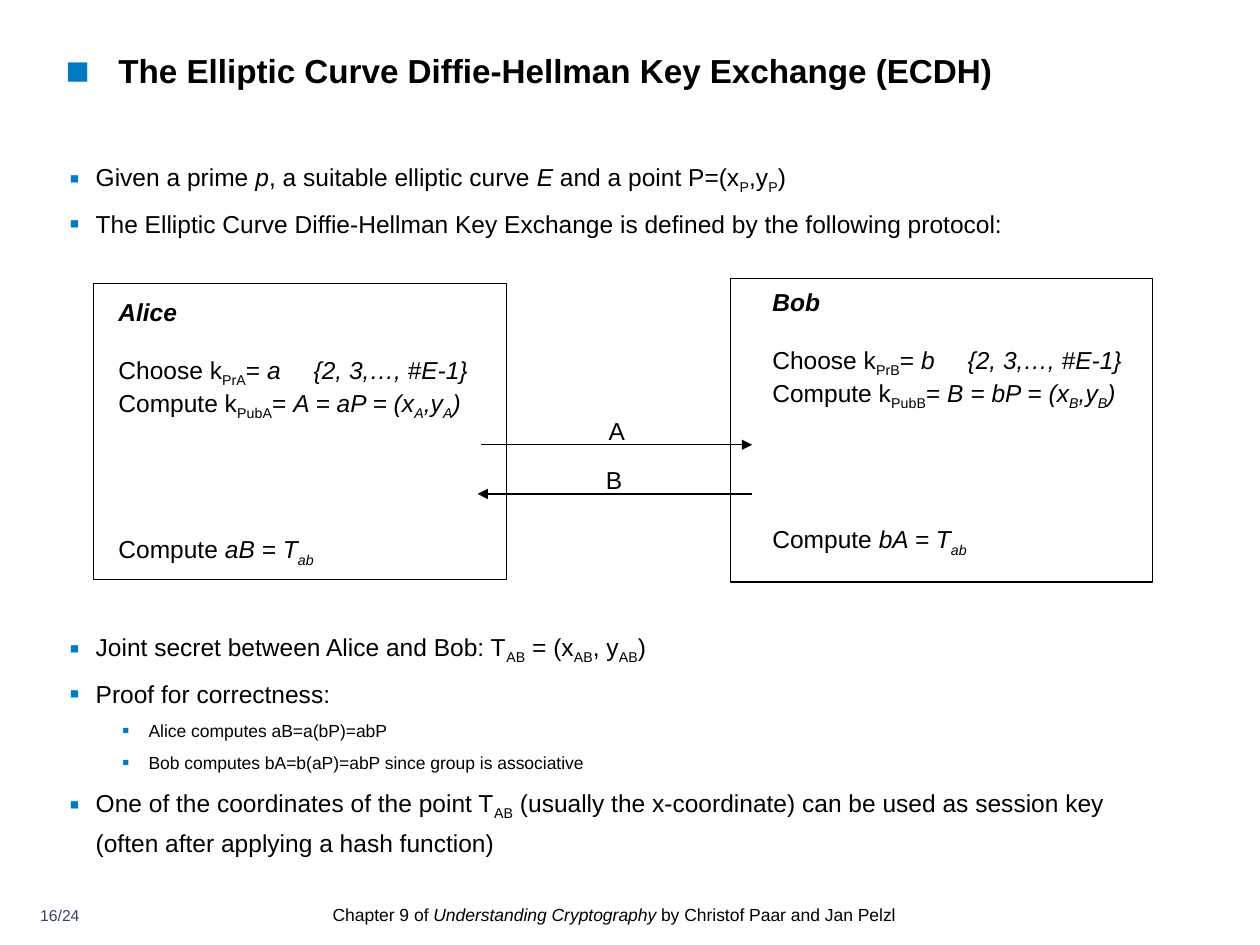
from lxml.etree import SubElement
from pptx import Presentation
from pptx.dml.color import RGBColor
from pptx.enum.shapes import MSO_CONNECTOR as Connector, MSO_SHAPE as Shape
from pptx.enum.text import PP_ALIGN as Align
from pptx.oxml.ns import qn
from pptx.util import Inches, Pt

BLACK = RGBColor(0x00, 0x00, 0x00)
BLUE = RGBColor(0x00, 0x7A, 0xC2)
NAVY = RGBColor(0x39, 0x40, 0x73)
FONT = "Arial"
BODY_SIZE, SUB_SIZE = 14, 10
LINE_HEIGHT = 16.1

# Markup: * switches italics, ~ switches subscript
TITLE = "The Elliptic Curve Diffie-Hellman Key Exchange (ECDH)"
SETUP = [
    (0, "Given a prime *p*, a suitable elliptic curve *E* and a point P=(x~P~,y~P~)"),
    (0, "The Elliptic Curve Diffie-Hellman Key Exchange is defined by the following protocol:"),
]
RESULT = [
    (0, "Joint secret between Alice and Bob: T~AB~ = (x~AB~, y~AB~)"),
    (0, "Proof for correctness:"),
    (1, "Alice computes aB=a(bP)=abP"),
    (1, "Bob computes bA=b(aP)=abP since group is associative"),
    (0, "One of the coordinates of the point T~AB~ (usually the x-coordinate) can be used "
        "as session key (often after applying a hash function)"),
]
PARTIES = [
    dict(name="Alice", own="A", other="B", frame=(0.74, 2.25, 3.28, 2.35), text_at=(0.94, 2.36)),
    dict(name="Bob", own="B", other="A", frame=(5.8, 2.21, 3.35, 2.41), text_at=(6.13, 2.28)),
]
MESSAGES = [("A", 4.83, 3.53, 3.82, 5.97), ("B", 4.81, 3.92, 5.97, 3.79)]
FOOTER = "Chapter 9 of *Understanding Cryptography* by Christof Paar and Jan Pelzl"
PAGE = "16/24"

prs = Presentation()
prs.slide_width, prs.slide_height = Inches(10), Inches(7.5)
slide = prs.slides.add_slide(prs.slide_layouts[6])


def add_box(left, top, width, height):
    frame = slide.shapes.add_textbox(*map(Inches, (left, top, width, height))).text_frame
    frame.margin_left = frame.margin_right = frame.margin_top = frame.margin_bottom = 0
    frame.word_wrap = True
    return frame


def add_bullet(paragraph, symbol, margin, indent):
    props = paragraph._p.get_or_add_pPr()
    props.set("marL", str(Inches(margin)))
    props.set("indent", str(Inches(-indent)))
    SubElement(SubElement(props, qn("a:buClr")), qn("a:srgbClr"), val=str(BLUE))
    SubElement(props, qn("a:buSzPct"), val="120000")
    SubElement(props, qn("a:buFont"), typeface=FONT)
    SubElement(props, qn("a:buChar"), char=symbol)


def add_tab(paragraph, position):
    tabs = SubElement(paragraph._p.get_or_add_pPr(), qn("a:tabLst"))
    SubElement(tabs, qn("a:tab"), pos=str(Inches(position)), algn="l")


def write(paragraph, marked, size=BODY_SIZE, color=BLACK, bold=False):
    font = paragraph.font
    font.name, font.size, font.bold = FONT, Pt(size), bold
    font.color.rgb = color
    italic = False
    for part_no, part in enumerate(marked.split("*")):
        italic = part_no % 2 == 1
        for piece_no, piece in enumerate(part.split("~")):
            if piece:
                run = paragraph.add_run()
                run.text = piece
                if italic:
                    run.font.italic = True
                if piece_no % 2:
                    run.font._element.set("baseline", "-25000")


def next_paragraph(frame, index):
    return frame.add_paragraph() if index else frame.paragraphs[0]


def add_bullets(items, top, height):
    frame = add_box(0.55, top, 8.36, height)
    for index, (level, text) in enumerate(items):
        paragraph = next_paragraph(frame, index)
        paragraph.level = level
        paragraph.line_spacing = 1.25
        if index:
            paragraph.space_before = Pt(3.5)
        add_bullet(paragraph, "▪", 0.21 + 0.42 * level, 0.21)
        write(paragraph, text, SUB_SIZE if level else BODY_SIZE)


def add_party(name, own, other, frame, text_at):
    border = slide.shapes.add_shape(Shape.RECTANGLE, *map(Inches, frame))
    border.shadow.inherit = False
    border.fill.background()
    border.line.color.rgb = BLACK
    border.line.width = Pt(0.75)
    key = own.lower()
    steps = [
        (0, f"*{name}*"),
        (1, f"Choose k~Pr{own}~= *{key}\t{{2, 3,…, #E-1}}*"),
        (0, f"Compute k~Pub{own}~= *{own} = {key}P = (x~{own}~,y~{own}~)*"),
        (4, f"Compute *{key}{other} = T~ab~*"),
    ]
    box = add_box(*text_at, 2.9, 2.33)
    for index, (gap_lines, text) in enumerate(steps):
        paragraph = next_paragraph(box, index)
        if gap_lines:
            paragraph.space_before = Pt(gap_lines * LINE_HEIGHT)
        if "\t" in text:
            add_tab(paragraph, 1.55)
        write(paragraph, text, bold=index == 0)


def add_message(label, label_left, y, start, end):
    arrow = slide.shapes.add_connector(
        Connector.STRAIGHT, *map(Inches, (start, y, end, y)))
    arrow.line.color.rgb = BLACK
    arrow.line.width = Pt(0.75)
    SubElement(arrow.line._get_or_add_ln(), qn("a:tailEnd"), type="triangle")
    SubElement(arrow._element.spPr, qn("a:effectLst"))
    write(add_box(label_left, y - 0.23, 0.2, 0.23).paragraphs[0], label)


heading = add_box(0.52, 0.4, 9.02, 0.6).paragraphs[0]
add_bullet(heading, "■", 0.42, 0.42)
write(heading, TITLE, 19, bold=True)

add_bullets(SETUP, 1.22, 0.8)
add_bullets(RESULT, 4.95, 1.8)
for party in PARTIES:
    add_party(**party)
for message in MESSAGES:
    add_message(*message)

credit = add_box(2.64, 7.14, 4.73, 0.28).paragraphs[0]
credit.line_spacing = 1.2
write(credit, FOOTER, 10)
page_number = add_box(0.2, 7.19, 0.55, 0.24).paragraphs[0]
page_number.alignment = Align.CENTER
write(page_number, PAGE, 9, NAVY)

prs.save("out.pptx")
